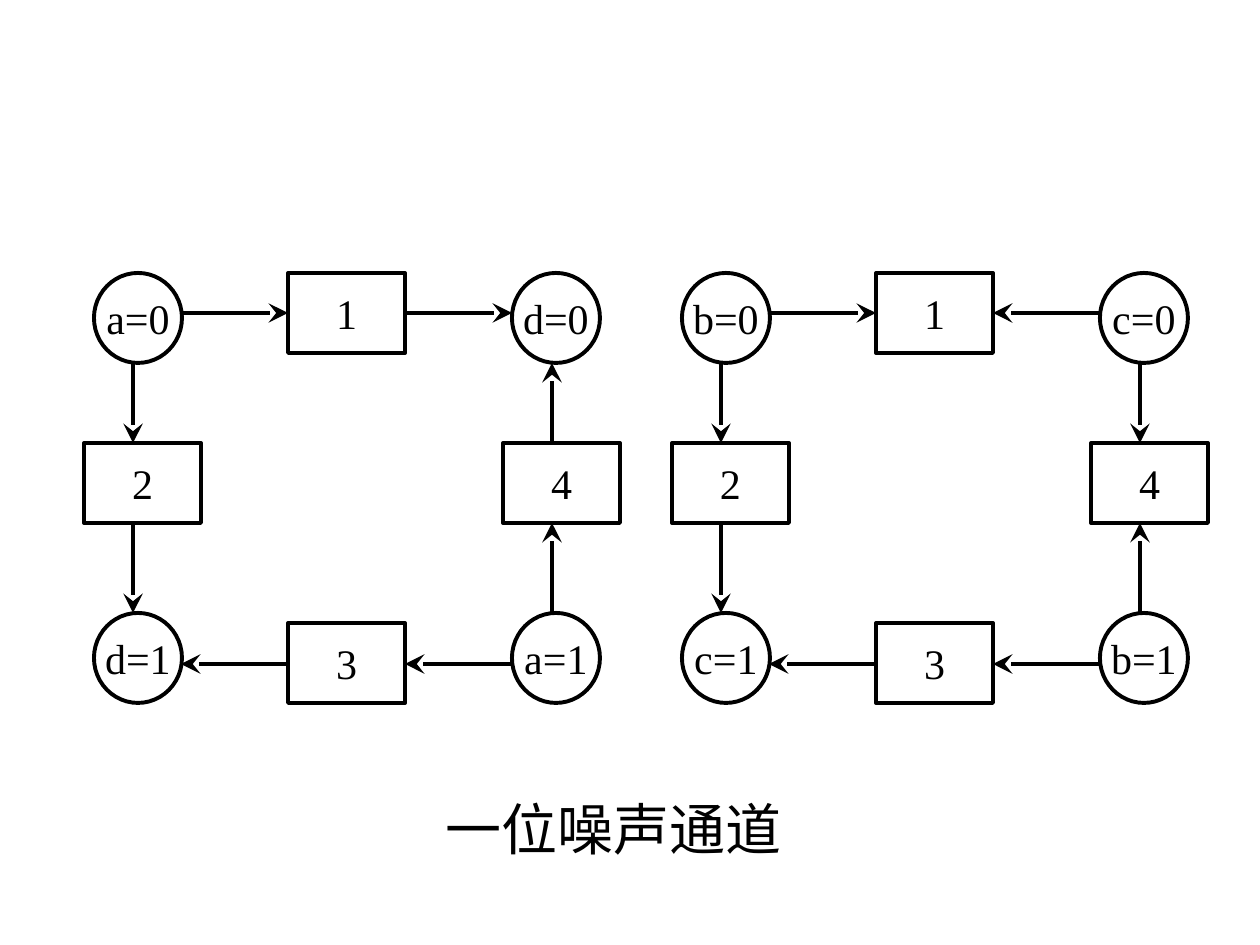
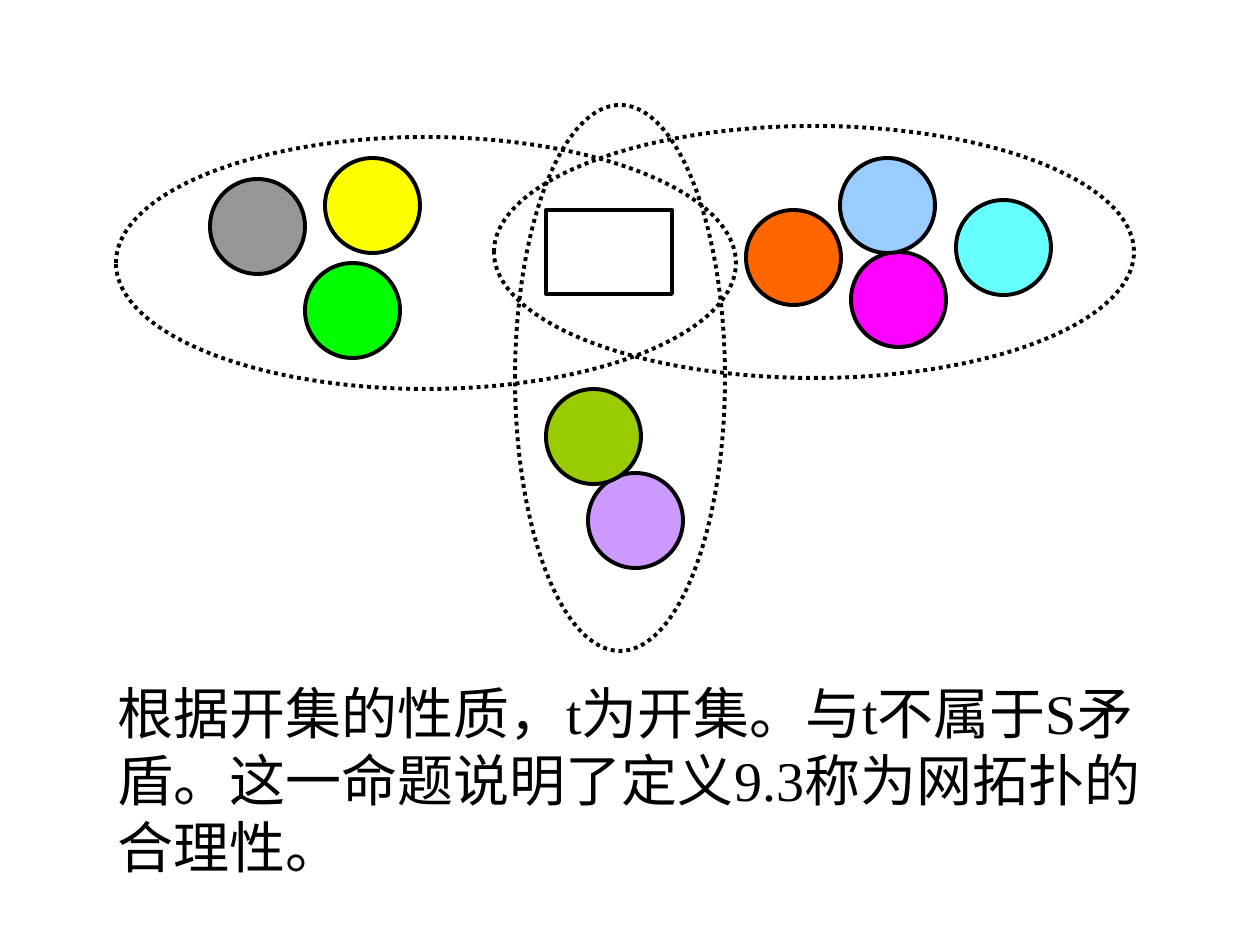
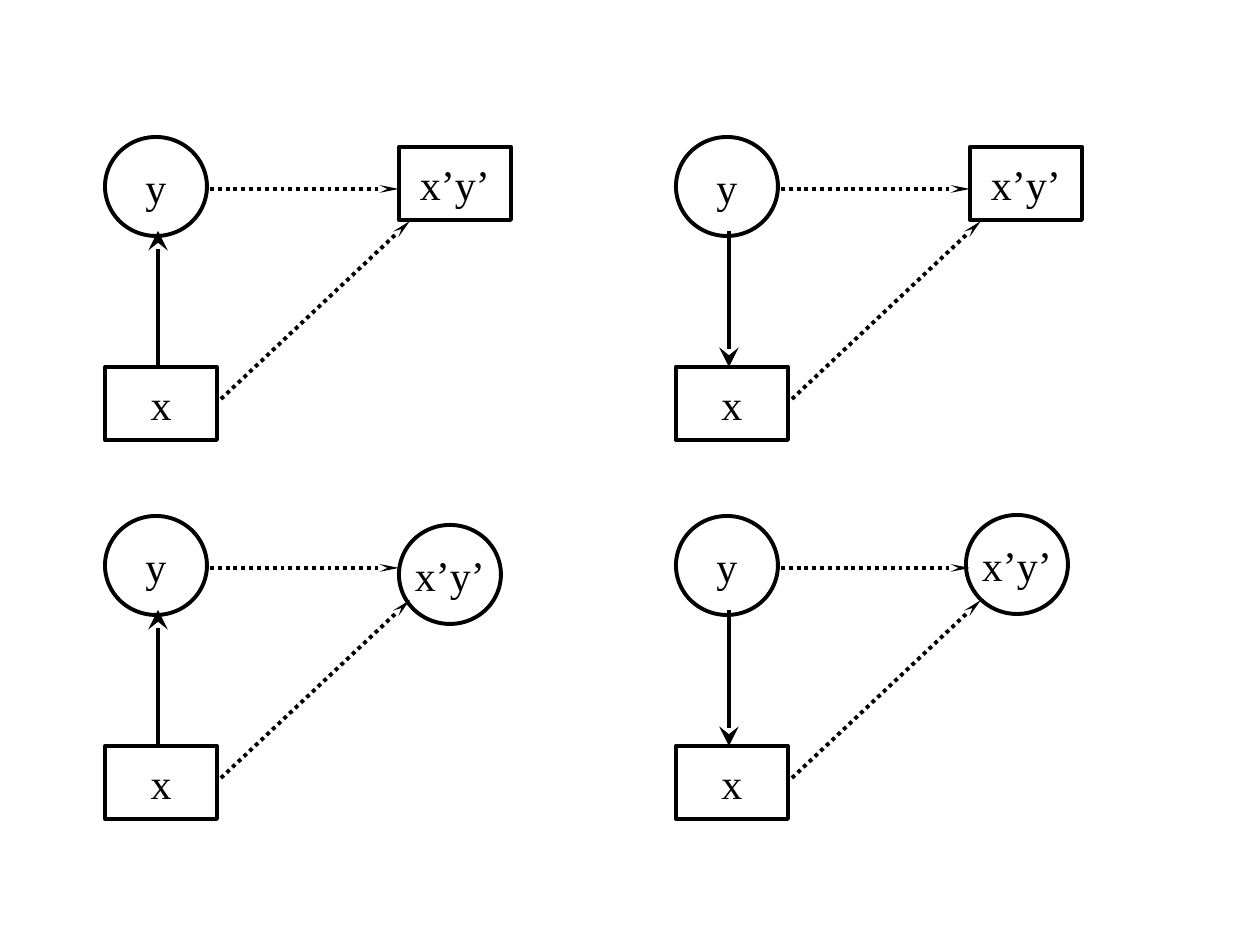
from itertools import product
from pptx import Presentation
from pptx.dml.color import RGBColor
from pptx.enum.dml import MSO_LINE
from pptx.enum.shapes import MSO_CONNECTOR, MSO_SHAPE
from pptx.enum.text import MSO_ANCHOR, MSO_AUTO_SIZE, PP_ALIGN
from pptx.oxml.ns import qn
from pptx.util import Emu, Pt
from lxml.etree import SubElement

SCALE = 914400 // 126
FONT = "Times New Roman"
LINE_WIDTH = 2.24
BLACK = RGBColor(0x00, 0x00, 0x00)
WHITE = RGBColor(0xFF, 0xFF, 0xFF)
YELLOW = RGBColor(0xFF, 0xFF, 0x00)
GRAY = RGBColor(0x96, 0x96, 0x96)
GREEN = RGBColor(0x00, 0xFF, 0x00)
ORANGE = RGBColor(0xFF, 0x66, 0x00)
CYAN = RGBColor(0x66, 0xFF, 0xFF)
MAGENTA = RGBColor(0xFF, 0x00, 0xFF)
BLUE = RGBColor(0x99, 0xCC, 0xFF)
PURPLE = RGBColor(0xCC, 0x99, 0xFF)
OLIVE = RGBColor(0x99, 0xCC, 0x00)
OVAL, RECT = MSO_SHAPE.OVAL, MSO_SHAPE.RECTANGLE

CAPTION = "一位噪声通道"
CAPTION_AREA = (294, 788, 640, 80)
CHANNEL_PITCH = 588
STATE_SIZE, EVENT_SIZE = (88, 90), (117, 80)
STATE_SPOTS = [(94, 273), (512, 273), (512, 613), (94, 613)]
EVENT_SPOTS = [(288, 273), (84, 443), (288, 623), (503, 443)]
EVENTS = ["1", "2", "3", "4"]
FLOWS = [
    (181, 313, 288, 313), (133, 363, 133, 443), (133, 523, 133, 613),
    (288, 664, 181, 664), (512, 664, 405, 664), (552, 613, 552, 523),
]
OUTGOING = [(405, 313, 512, 313), (552, 443, 552, 363)]
INCOMING = [(512, 313, 405, 313), (552, 363, 552, 443)]
CHANNELS = [
    (["a=0", "d=0", "a=1", "d=1"], OUTGOING),
    (["b=0", "c=0", "b=1", "c=1"], INCOMING),
]

PROOF = "根据开集的性质，t为开集。与t不属于S矛盾。这一命题说明了定义9.3称为网拓扑的合理性。"
PROOF_AREA = (105, 672, 1071, 220)
BALL = 95
CENTER_AREA = (546, 210, 126, 84)
OPEN_SETS = [
    ((116, 137, 620, 252), [(325, 158, YELLOW), (210, 179, GRAY), (305, 263, GREEN)]),
    ((494, 126, 640, 252), [(746, 210, ORANGE), (956, 200, CYAN),
                            (851, 252, MAGENTA), (840, 158, BLUE)]),
    ((515, 105, 210, 546), [(588, 473, PURPLE), (546, 389, OLIVE)]),
]

NET_PITCH = (571, 379)
PLACE_SIZE, STEP_SIZE = (102, 99), (112, 73)
PLACE_SPOT, STEP_SPOT = (105, 137), (105, 367)
RISING, FALLING = (158, 367, 158, 231), (158, 231, 158, 367)
DOTTED_FLOWS = [(210, 189, 399, 189), (221, 399, 410, 221)]
TARGETS = [
    (RECT, 399, 147, STEP_SIZE), (RECT, 970, 147, STEP_SIZE),
    (OVAL, 399, 525, PLACE_SIZE), (OVAL, 966, 515, PLACE_SIZE),
]


def emu(values):
    return [Emu(value * SCALE) for value in values]


def shift(points, right, down=0):
    return [value + (down if index % 2 else right) for index, value in enumerate(points)]


def set_all(target, values):
    for name, value in values.items():
        setattr(target, name, value)


def draw_line(line, dotted):
    line.color.rgb = BLACK
    line.width = Pt(LINE_WIDTH)
    if dotted:
        line.dash_style = MSO_LINE.ROUND_DOT


def write(frame, text, size, align, before=0):
    para = frame.paragraphs[0]
    set_all(para, {"alignment": align, "space_before": Pt(before)})
    span = para.add_run()
    span.text = text
    set_all(span.font, {"name": FONT, "size": Pt(size)})
    span.font.color.rgb = BLACK
    return para


def add_node(shapes, kind, area, text="", fill=WHITE, dotted=False):
    node = shapes.add_shape(kind, *emu(area))
    node.shadow.inherit = False
    if fill is None:
        node.fill.background()
    else:
        node.fill.solid()
        node.fill.fore_color.rgb = fill
    draw_line(node.line, dotted)
    if text:
        set_all(node.text_frame, {"word_wrap": False, "vertical_anchor": MSO_ANCHOR.MIDDLE})
        write(node.text_frame, text, 24, PP_ALIGN.CENTER)


def add_arrow(shapes, ends, dotted=False):
    arrow = shapes.add_connector(MSO_CONNECTOR.STRAIGHT, *emu(ends))
    draw_line(arrow.line, dotted)
    SubElement(arrow.line._get_or_add_ln(), qn("a:tailEnd"),
               {"type": "stealth", "w": "sm" if dotted else "lg", "len": "lg"})
    SubElement(arrow._element.spPr, qn("a:effectLst"))


def build_channels(deck):
    shapes = deck.slides.add_slide(deck.slide_layouts[6]).shapes
    for column, (states, turns) in enumerate(CHANNELS):
        right = column * CHANNEL_PITCH
        for kind, size, spots, texts in (
            (OVAL, STATE_SIZE, STATE_SPOTS, states), (RECT, EVENT_SIZE, EVENT_SPOTS, EVENTS),
        ):
            for spot, text in zip(spots, texts):
                add_node(shapes, kind, (*shift(spot, right), *size), text)
        for ends in FLOWS + turns:
            add_arrow(shapes, shift(ends, right))
    box = shapes.add_textbox(*emu(CAPTION_AREA))
    box.text_frame.word_wrap = True
    write(box.text_frame, CAPTION, 32, PP_ALIGN.CENTER, 20)


def build_open_sets(deck):
    page = deck.slides.add_slide(deck.slide_layouts[1])
    title, body = page.placeholders
    title._element.getparent().remove(title._element)
    set_all(body, dict(zip(("left", "top", "width", "height"), emu(PROOF_AREA))))
    set_all(body.text_frame, {"word_wrap": True, "auto_size": MSO_AUTO_SIZE.NONE,
                              "vertical_anchor": MSO_ANCHOR.TOP})
    para = write(body.text_frame, PROOF, 32, PP_ALIGN.LEFT, 8)
    layout = para._p.get_or_add_pPr()
    layout.set("marL", "0")
    layout.set("indent", "0")
    SubElement(layout, qn("a:buNone"))
    shapes = page.shapes.add_group_shape().shapes
    add_node(shapes, RECT, CENTER_AREA)
    for outline, balls in OPEN_SETS:
        for left, top, color in balls:
            add_node(shapes, OVAL, (left, top, BALL, BALL), fill=color)
        add_node(shapes, OVAL, outline, fill=None, dotted=True)


def build_nets(deck):
    shapes = deck.slides.add_slide(deck.slide_layouts[6]).shapes
    for (row, column), (kind, left, top, size) in zip(product(range(2), repeat=2), TARGETS):
        move = (column * NET_PITCH[0], row * NET_PITCH[1])
        add_node(shapes, kind, (left, top, *size), "x’y’")
        add_node(shapes, OVAL, (*shift(PLACE_SPOT, *move), *PLACE_SIZE), "y")
        add_node(shapes, RECT, (*shift(STEP_SPOT, *move), *STEP_SIZE), "x")
        add_arrow(shapes, shift(FALLING if column else RISING, *move))
        for ends in DOTTED_FLOWS:
            add_arrow(shapes, shift(ends, *move), dotted=True)


deck = Presentation()
set_all(deck, dict(zip(("slide_width", "slide_height"), emu((1260, 945)))))
build_channels(deck)
build_open_sets(deck)
build_nets(deck)
deck.save("out.pptx")
